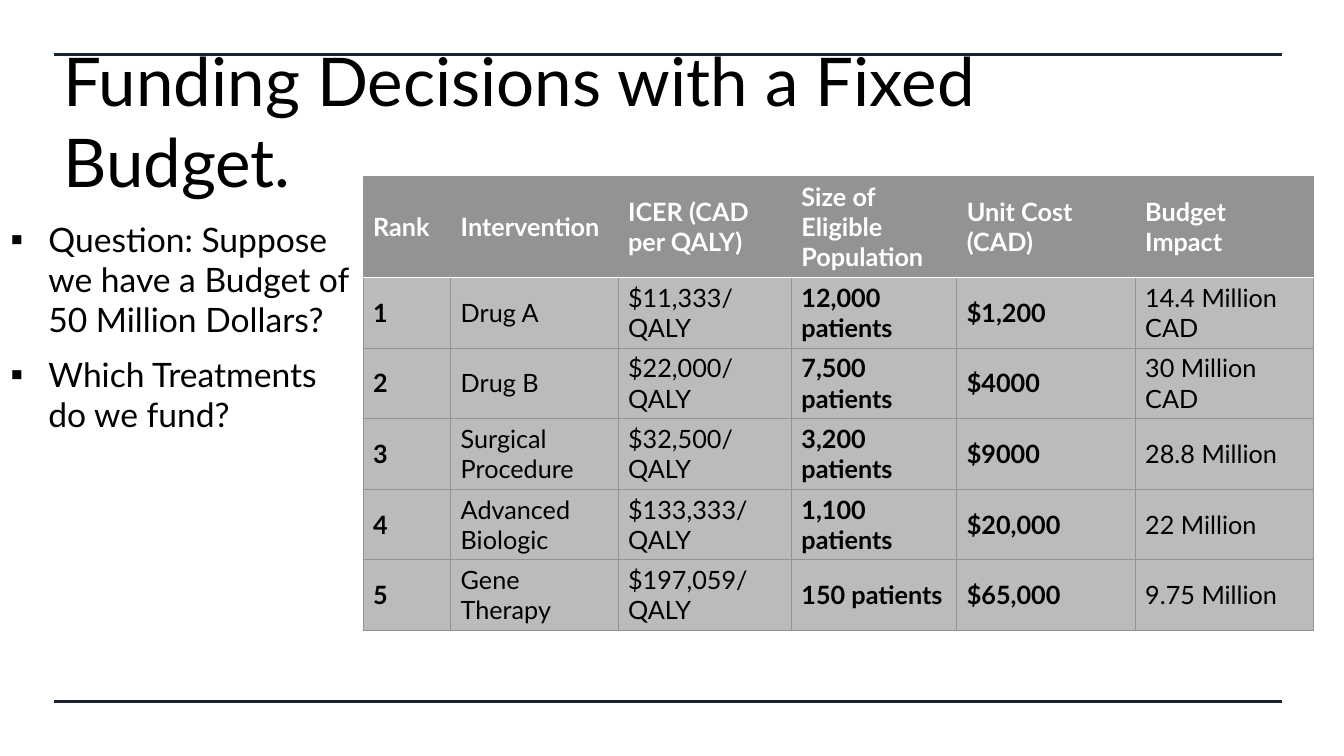
from dataclasses import dataclass

from lxml.etree import SubElement
from pptx import Presentation
from pptx.dml.color import RGBColor
from pptx.enum.shapes import MSO_CONNECTOR
from pptx.enum.text import MSO_ANCHOR, MSO_AUTO_SIZE, PP_ALIGN
from pptx.oxml.ns import qn
from pptx.util import Inches, Pt


@dataclass(frozen=True)
class Theme:
    font: str = "Lato"
    ink: str = "000000"
    light: str = "FFFFFF"
    rule: str = "182230"
    header: str = "939393"
    body: str = "BBBBBB"
    title_size: int = 48
    list_size: int = 24
    table_size: int = 18


THEME = Theme()
WIDTH, HEIGHT = Inches(13.33), Inches(7.5)
MARGIN = 0.04
COLUMNS = (0.87, 1.66, 1.72, 1.64, 1.77, 1.77)
HEADER_ROW, BODY_ROW = 1.0, 0.7
BOLD_COLUMNS = (0, 3, 4)

TITLE = "Funding Decisions with a Fixed Budget."
QUESTIONS = (
    "Question: Suppose we have a Budget of 50 Million Dollars?",
    "Which Treatments do we fund?",
)
INTERVENTIONS = (
    ("Rank", "Intervention", "ICER (CAD per QALY)", "Size of Eligible Population",
     "Unit Cost (CAD)", "Budget Impact"),
    ("1", "Drug A", "$11,333/QALY", "12,000 patients", "$1,200", "14.4 Million CAD"),
    ("2", "Drug B", "$22,000/QALY", "7,500 patients", "$4000", "30 Million CAD"),
    ("3", "Surgical Procedure", "$32,500/QALY", "3,200 patients", "$9000", "28.8 Million"),
    ("4", "Advanced Biologic", "$133,333/QALY", "1,100 patients", "$20,000", "22 Million"),
    ("5", "Gene Therapy", "$197,059/QALY", "150 patients", "$65,000", "9.75 Million"),
)


def apply(target, formats):
    for attribute, value in formats.items():
        setattr(target, attribute, value)


def write(paragraph, words, size, color, bold=False):
    run = paragraph.add_run()
    run.text = words
    apply(run.font, {"name": THEME.font, "size": Pt(size), "bold": bold})
    run.font.color.rgb = RGBColor.from_string(color)


def place(holder, left, top, width, height, anchor):
    apply(holder, {"left": Inches(left), "top": Inches(top),
                   "width": Inches(width), "height": Inches(height)})
    apply(holder.text_frame, {"word_wrap": True, "auto_size": MSO_AUTO_SIZE.NONE,
                              "vertical_anchor": anchor})


def add_rule(slide, share):
    level = int(HEIGHT * share)
    rule = slide.shapes.add_connector(
        MSO_CONNECTOR.STRAIGHT, int(WIDTH * MARGIN), level,
        int(WIDTH * (1 - MARGIN - 0.006)), level)
    rule.line.width = Pt(2.25)
    rule.line.color.rgb = RGBColor.from_string(THEME.rule)
    SubElement(rule._element.spPr, qn("a:effectLst"))
    slide.shapes._spTree.insert(2, rule._element)


def fill_title(holder):
    place(holder, 0.53, 0.65, 11.63, 1.09, MSO_ANCHOR.MIDDLE)
    heading = holder.text_frame.paragraphs[0]
    heading.alignment = PP_ALIGN.LEFT
    write(heading, TITLE, THEME.title_size, THEME.ink)


def fill_questions(holder):
    place(holder, 0, 2.12, 3.64, 4.98, MSO_ANCHOR.TOP)
    frame = holder.text_frame
    for index, question in enumerate(QUESTIONS):
        item = frame.add_paragraph() if index else frame.paragraphs[0]
        item.space_before = Pt(10 if index else 0)
        properties = item._p.get_or_add_pPr()
        properties.set("marL", str(Inches(0.38)))
        properties.set("indent", str(-Inches(0.38)))
        SubElement(properties, qn("a:buFont"), typeface=THEME.font)
        SubElement(properties, qn("a:buChar"), char="▪")
        write(item, question, THEME.list_size, THEME.ink)


def add_border(cell, side, color, points):
    edge = SubElement(cell._tc.get_or_add_tcPr(), qn(f"a:ln{side}"), w=str(Pt(points)))
    paint = SubElement(edge, qn("a:solidFill"))
    SubElement(paint, qn("a:srgbClr"), val=color)


def format_cell(cell, words, row, column):
    is_header = row == 0
    edges = dict.fromkeys("LRTB", (THEME.header, 0.5))
    if row < 2:
        edges["B" if is_header else "T"] = (THEME.light, 1)
    for side, (color, points) in edges.items():
        add_border(cell, side, color, points)
    cell.fill.solid()
    cell.fill.fore_color.rgb = RGBColor.from_string(THEME.header if is_header else THEME.body)
    cell.vertical_anchor = MSO_ANCHOR.MIDDLE
    write(cell.text_frame.paragraphs[0], words, THEME.table_size,
          THEME.light if is_header else THEME.ink, is_header or column in BOLD_COLUMNS)


def add_interventions(slide):
    heights = [HEADER_ROW] + [BODY_ROW] * (len(INTERVENTIONS) - 1)
    table = slide.shapes.add_table(
        len(heights), len(COLUMNS), Inches(3.6), Inches(1.75),
        Inches(sum(COLUMNS)), Inches(sum(heights))).table
    table.horz_banding = False
    for column, width in zip(table.columns, COLUMNS):
        column.width = Inches(width)
    for row, height in zip(table.rows, heights):
        row.height = Inches(height)
    for row, entries in enumerate(INTERVENTIONS):
        for column, words in enumerate(entries):
            format_cell(table.cell(row, column), words, row, column)


def main():
    deck = Presentation()
    apply(deck, {"slide_width": WIDTH, "slide_height": HEIGHT})
    slide = deck.slides.add_slide(deck.slide_layouts[1])
    for share in (0.072, 0.928):
        add_rule(slide, share)
    fill_title(slide.shapes.title)
    add_interventions(slide)
    fill_questions(slide.placeholders[1])
    deck.save("out.pptx")


if __name__ == "__main__":
    main()
